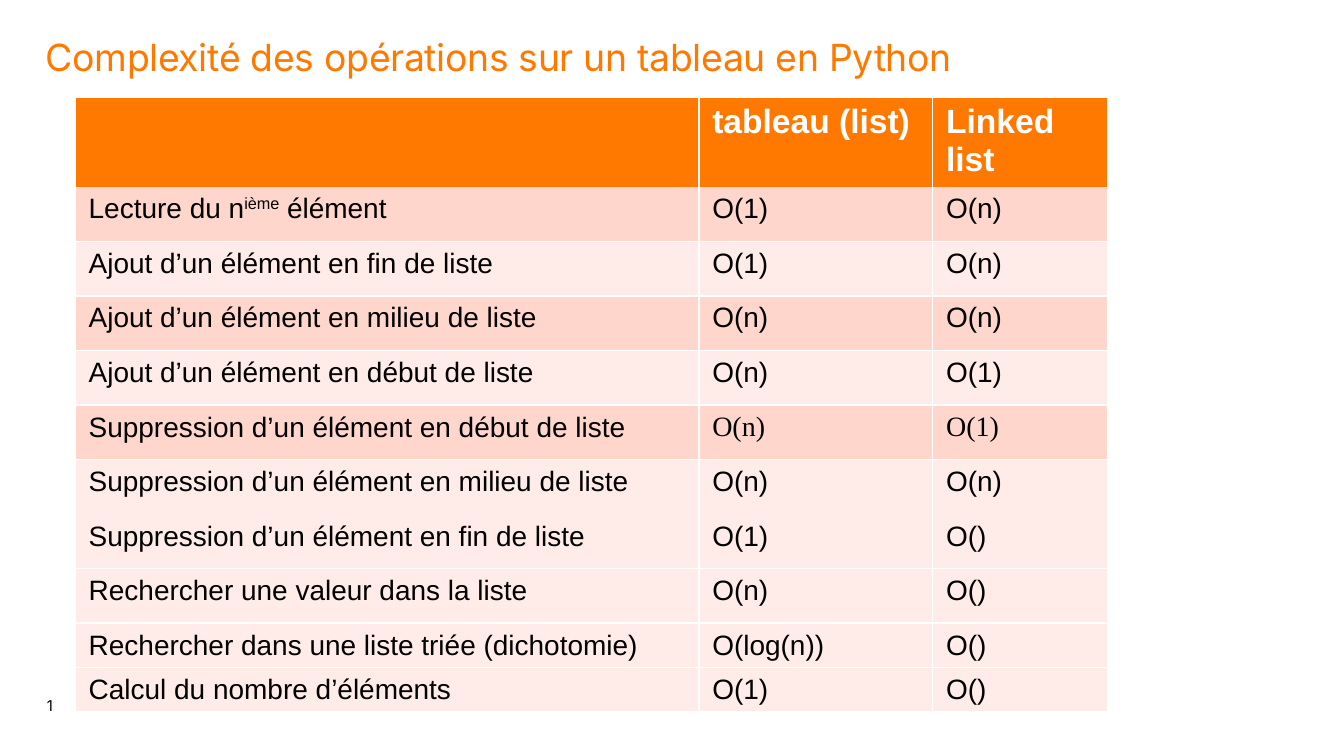
"""Build a slide comparing the cost of list and linked-list operations."""
from lxml import etree
from pptx import Presentation
from pptx import util as u
from pptx.dml.color import RGBColor
from pptx.enum import text
from pptx.oxml import ns

ORANGE = RGBColor(0xFF, 0x79, 0x00)
PEACH = RGBColor(0xFF, 0xD6, 0xCC)
BLUSH = RGBColor(0xFF, 0xEB, 0xE7)
WHITE = RGBColor(0xFF, 0xFF, 0xFF)
BLACK = RGBColor(0, 0, 0)

COLUMN_WIDTHS = [4.64, 1.74, 1.3]
ROW_HEIGHTS = [0.66] + [3.25 / 8] * 8 + [0.33] * 2
HEADER = ("", "tableau (list)", "Linked list")
OPERATIONS = [
    (("Lecture du n", "ième", " élément"), "O(1)", "O(n)"),
    ("Ajout d’un élément en fin de liste", "O(1)", "O(n)"),
    ("Ajout d’un élément en milieu de liste", "O(n)", "O(n)"),
    ("Ajout d’un élément en début de liste", "O(n)", "O(1)"),
    ("Suppression d’un élément en début de liste", "O(n)", "O(1)"),
    ("Suppression d’un élément en milieu de liste", "O(n)", "O(n)"),
    ("Suppression d’un élément en fin de liste", "O(1)", "O()"),
    ("Rechercher une valeur dans la liste", "O(n)", "O()"),
    ("Rechercher dans une liste triée (dichotomie)", "O(log(n))", "O()"),
    ("Calcul du nombre d’éléments", "O(1)", "O()"),
]
PEACH_ROWS = {1, 3, 5}
SERIF_ROW = 5
OPEN_BELOW = {0, 6}


class SlideBuilder:
    heading_font = "Inter"
    body_font = "Arial"
    serif_font = "Times New Roman"
    border_width = u.Pt(0.96)

    def __init__(self, slide):
        self.slide = slide

    def run(self, paragraph, words, font, size, color, bold=False):
        run = paragraph.add_run()
        run.text = words
        run.font.name = font
        run.font.size = u.Pt(size)
        run.font.color.rgb = color
        run.font.bold = bold
        return run

    def label(self, words, box, size, color, line_spacing, left_inset=0,
              anchor=text.MSO_ANCHOR.TOP):
        frame = self.slide.shapes.add_textbox(*map(u.Inches, box)).text_frame
        frame.word_wrap = True
        frame.vertical_anchor = anchor
        frame.margin_left = u.Inches(left_inset)
        frame.margin_top = frame.margin_right = frame.margin_bottom = 0
        paragraph = frame.paragraphs[0]
        paragraph.line_spacing = line_spacing
        return self.run(paragraph, words, self.heading_font, size, color)

    def borders(self, cell, hidden):
        properties = cell._tc.get_or_add_tcPr()
        for side in "LRTB":
            line = etree.SubElement(properties, ns.qn(f"a:ln{side}"), w=str(self.border_width))
            if side in hidden:
                etree.SubElement(line, ns.qn("a:noFill"))
            else:
                fill = etree.SubElement(line, ns.qn("a:solidFill"))
                etree.SubElement(fill, ns.qn("a:srgbClr"), val=str(WHITE))

    def cell(self, cell, content, row, column):
        hidden = ("B" if row in OPEN_BELOW else "") + ("T" if row - 1 in OPEN_BELOW else "")
        self.borders(cell, hidden)
        cell.fill.solid()
        cell.fill.fore_color.rgb = ORANGE if row == 0 else PEACH if row in PEACH_ROWS else BLUSH
        cell.margin_left = cell.margin_right = u.Inches(0.1)
        cell.margin_top, cell.margin_bottom = u.Inches(0.05), u.Inches(0.02)
        font = self.serif_font if row == SERIF_ROW and column else self.body_font
        size, color = (18, WHITE) if row == 0 else (15, BLACK)
        pieces = (content,) if isinstance(content, str) else content
        for index, piece in enumerate(pieces):
            if piece:
                run = self.run(cell.text_frame.paragraphs[0], piece, font, size, color, row == 0)
                if index == 1:
                    run.font._element.set("baseline", "33000")

    def table(self, rows, left, top):
        box = (left, top, sum(COLUMN_WIDTHS), sum(ROW_HEIGHTS))
        table = self.slide.shapes.add_table(
            len(rows), len(COLUMN_WIDTHS), *map(u.Inches, box)).table
        for column, width in zip(table.columns, COLUMN_WIDTHS):
            column.width = u.Inches(width)
        for row, (height, contents) in enumerate(zip(ROW_HEIGHTS, rows)):
            table.rows[row].height = u.Inches(height)
            for column, content in enumerate(contents):
                self.cell(table.cell(row, column), content, row, column)


def main():
    deck = Presentation()
    deck.slide_width = u.Inches(10)
    deck.slide_height = deck.slide_width * 9 // 16
    builder = SlideBuilder(deck.slides.add_slide(deck.slide_layouts[6]))
    builder.label("1", (0.34, 4.96, 0.3, 0.36), 8, BLACK, 0.85, 0.01, text.MSO_ANCHOR.BOTTOM)
    title = builder.label("Complexité des opérations sur un tableau en Python",
                          (0.34, 0.29, 9.31, 0.81), 20, ORANGE, 0.9)
    title.font._element.set("spc", "-20")
    builder.table([HEADER] + OPERATIONS, 0.56, 0.72)
    deck.save("out.pptx")


if __name__ == "__main__":
    main()
